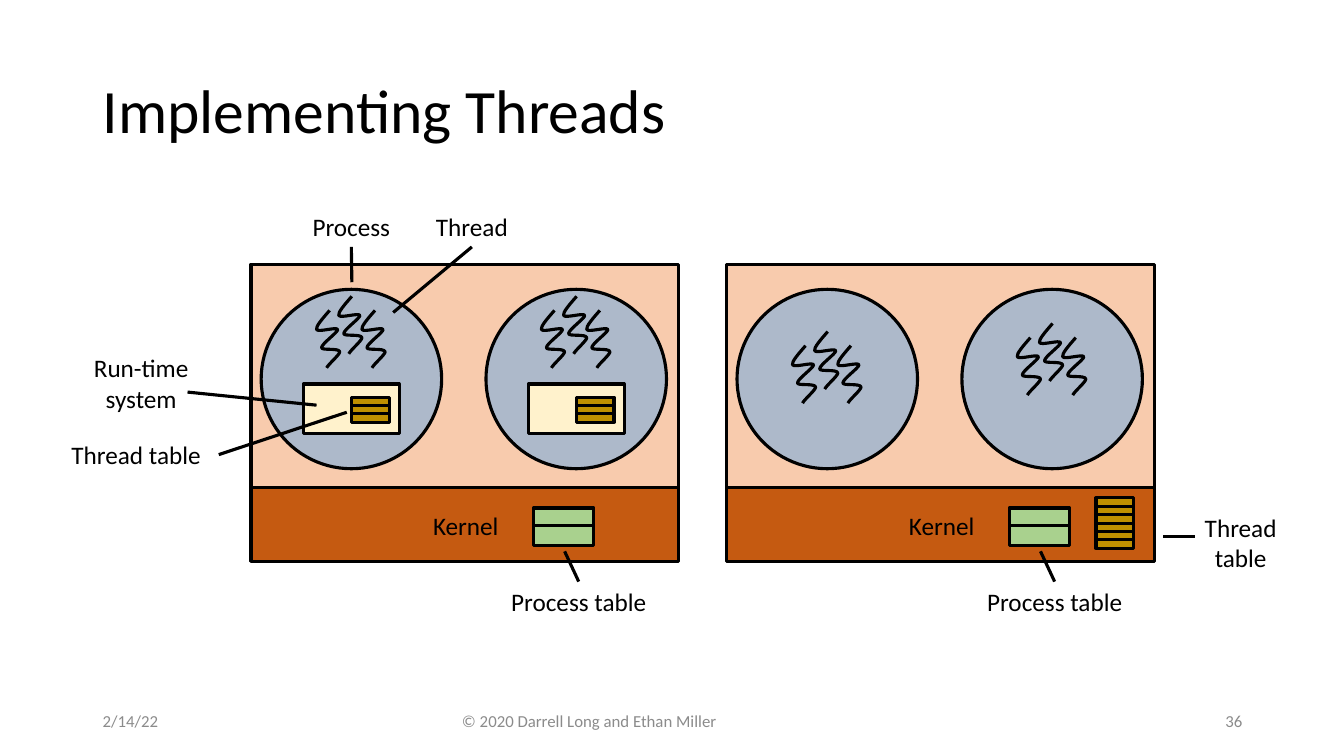
from dataclasses import dataclass
from typing import Optional

from lxml.etree import SubElement
from pptx import Presentation
from pptx.dml.color import RGBColor
from pptx.enum.shapes import MSO_CONNECTOR as Connector, MSO_SHAPE as Preset
from pptx.enum.text import MSO_ANCHOR as Anchor, MSO_AUTO_SIZE as AutoSize, PP_ALIGN as Align
from pptx.oxml.ns import qn
from pptx.util import Inches, Pt


@dataclass(frozen=True)
class Theme:
    font: str = "Calibri"
    ink: str = "000000"
    muted: str = "8B8B8B"
    user_space: str = "F8CBAD"
    kernel: str = "C55A11"
    process: str = "ADB9CA"
    run_time: str = "FFF2CC"
    thread_table: str = "BF9000"
    process_table: str = "A9D18E"
    title_size: float = 44
    label_size: float = 18
    footer_size: float = 12
    line_width: float = 2.25


@dataclass(frozen=True)
class Box:
    left: float
    top: float
    width: float
    height: float

    def lengths(self) -> list:
        return [Inches(value) for value in (self.left, self.top, self.width, self.height)]


@dataclass(frozen=True)
class Pointer:
    target: tuple[float, float]
    side: Optional[int] = None
    start: tuple[float, float] = (0, 0)


@dataclass(frozen=True)
class Label:
    text: str
    box: Box
    pointer: Optional[Pointer] = None


@dataclass(frozen=True)
class Panel:
    left: float
    thread_tops: tuple[float, float]
    has_run_time: bool


@dataclass(frozen=True)
class Footer:
    text: str
    box: Box
    align: Align


THEME = Theme()
TOP, BOTTOM, LEFT, RIGHT = range(4)
PANELS = (
    Panel(2.49, (2.94, 2.94), True),
    Panel(7.21, (3.29, 3.21), False),
)
PROCESS_OFFSETS = (0.1, 2.33)
PROCESS_SIZE = (1.79, 1.78)
THREAD_OFFSETS = ((0, 0), (0.23, 0.14), (-0.22, 0.14))
THREAD_CURVE = (
    (-0.07, 0.08), (-0.14, 0.16), (-0.13, 0.19),
    (-0.11, 0.22), (0.07, 0.16), (0.08, 0.19),
    (0.08, 0.22), (-0.08, 0.33), (-0.08, 0.37),
    (-0.08, 0.4), (0.09, 0.37), (0.1, 0.41),
    (0.1, 0.44), (-0.01, 0.53), (-0.03, 0.57),
)
LABELS = (
    Label("Process", Box(2.85, 2.05, 1.27, 0.4), Pointer((3.49, 2.8), BOTTOM)),
    Label("Thread", Box(4.12, 2.05, 1.12, 0.4), Pointer((3.9, 3.1), BOTTOM)),
    Label("Run-time system", Box(0.53, 3.45, 1.74, 0.71),
          Pointer((3.14, 4.02), start=(1.86, 3.89))),
    Label("Thread table", Box(0.53, 4.31, 1.64, 0.4), Pointer((3.44, 4.09), RIGHT)),
    Label("Thread table", Box(11.58, 5.03, 1.45, 0.71),
          Pointer((11.53, 5.32), start=(11.85, 5.32))),
)
FOOTERS = (
    Footer("2/14/22", Box(0.92, 6.95, 1.36, 0.4), Align.LEFT),
    Footer("© 2020 Darrell Long and Ethan Miller", Box(3.04, 6.95, 5.61, 0.4), Align.CENTER),
    Footer("36", Box(9.42, 6.95, 3, 0.4), Align.RIGHT),
)


def apply_format(target, values: dict) -> None:
    for name, value in values.items():
        setattr(target, name, value)


def write_text(shape, text: str, size: float, color: str, align: Align, frame_format: dict):
    frame = shape.text_frame
    frame.text = text
    apply_format(frame, {"word_wrap": True, **frame_format})
    paragraph = frame.paragraphs[0]
    paragraph.alignment = align
    font = paragraph.runs[0].font
    apply_format(font, {"name": THEME.font, "size": Pt(size)})
    font.color.rgb = RGBColor.from_string(color)
    return paragraph


def set_line(shape) -> None:
    shape.line.color.rgb = RGBColor.from_string(THEME.ink)
    shape.line.width = Pt(THEME.line_width)


def draw_shape(slide, preset: Preset, box: Box, fill: str) -> None:
    shape = slide.shapes.add_shape(preset, *box.lengths())
    shape.shadow.inherit = False
    shape.fill.solid()
    shape.fill.fore_color.rgb = RGBColor.from_string(fill)
    set_line(shape)


def draw_rows(slide, left: float, top: float, width: float, heights: tuple, fill: str) -> None:
    for height in heights:
        draw_shape(slide, Preset.RECTANGLE, Box(left, top, width, height), fill)
        top += height


def draw_thread(slide, left: float, top: float) -> None:
    builder = slide.shapes.build_freeform(Inches(left), Inches(top))
    points = [(Inches(left + x), Inches(top + y)) for x, y in THREAD_CURVE]
    builder.add_line_segments(points, close=False)
    shape = builder.convert_to_shape()
    shape.shadow.inherit = False
    shape.fill.background()
    set_line(shape)
    segments = list(shape._element.iter(qn("a:lnTo")))
    outline = segments[0].getparent()
    for first in range(0, len(segments), 3):
        curve = SubElement(outline, qn("a:cubicBezTo"))
        for segment in segments[first:first + 3]:
            curve.append(segment[0])
            outline.remove(segment)


def draw_label(slide, label: Label) -> None:
    text_box = slide.shapes.add_textbox(*label.box.lengths())
    write_text(text_box, label.text, THEME.label_size, THEME.ink, Align.CENTER,
               {"auto_size": AutoSize.SHAPE_TO_FIT_TEXT})
    pointer = label.pointer
    if pointer is None:
        return
    ends = [Inches(value) for value in (*pointer.start, *pointer.target)]
    connector = slide.shapes.add_connector(Connector.STRAIGHT, *ends)
    if pointer.side is not None:
        connection_site = {TOP: 0, LEFT: 1, BOTTOM: 2, RIGHT: 3}[pointer.side]
        connector.begin_connect(text_box, connection_site)
    set_line(connector)
    SubElement(connector._element.spPr, qn("a:effectLst"))


def draw_panel(slide, panel: Panel) -> None:
    left = panel.left
    draw_shape(slide, Preset.RECTANGLE, Box(left, 2.62, 4.24, 2.22), THEME.user_space)
    draw_shape(slide, Preset.RECTANGLE, Box(left, 4.84, 4.24, 0.73), THEME.kernel)
    for offset, thread_top in zip(PROCESS_OFFSETS, panel.thread_tops):
        process_left = left + offset
        center = process_left + 0.9
        draw_shape(slide, Preset.OVAL, Box(process_left, 2.87, *PROCESS_SIZE), THEME.process)
        for x, y in THREAD_OFFSETS:
            draw_thread(slide, center + x, thread_top + y)
        if panel.has_run_time:
            draw_shape(slide, Preset.RECTANGLE, Box(center - 0.48, 3.81, 0.95, 0.49), THEME.run_time)
            draw_rows(slide, center, 3.94, 0.37, (0.25 / 3,) * 3, THEME.thread_table)
    draw_rows(slide, left + 2.8, 5.04, 0.6, (0.17, 0.2), THEME.process_table)
    if not panel.has_run_time:
        draw_rows(slide, left + 3.66, 4.94, 0.37, (0.5 / 6,) * 6, THEME.thread_table)
    draw_label(slide, Label("Kernel", Box(left + 1.4, 5.01, 1.46, 0.4)))
    draw_label(slide, Label("Process table", Box(left + 2.38, 5.77, 1.74, 0.4),
                            Pointer((left + 3.11, 5.47), TOP)))


def main() -> None:
    presentation = Presentation()
    apply_format(presentation, {"slide_width": Inches(13.33), "slide_height": Inches(7.5)})
    slide = presentation.slides.add_slide(presentation.slide_layouts[5])
    title = slide.shapes.title
    title_box = Box(0.92, 0.4, 11.5, 1.45)
    apply_format(title, dict(zip(("left", "top", "width", "height"), title_box.lengths())))
    paragraph = write_text(title, "Implementing Threads", THEME.title_size, THEME.ink, Align.LEFT,
                           {"vertical_anchor": Anchor.MIDDLE, "auto_size": AutoSize.NONE})
    paragraph.line_spacing = 0.9
    for panel in PANELS:
        draw_panel(slide, panel)
    for label in LABELS:
        draw_label(slide, label)
    for footer in FOOTERS:
        text_box = slide.shapes.add_textbox(*footer.box.lengths())
        write_text(text_box, footer.text, THEME.footer_size, THEME.muted, footer.align,
                   {"vertical_anchor": Anchor.MIDDLE})
    presentation.save("out.pptx")


if __name__ == "__main__":
    main()
